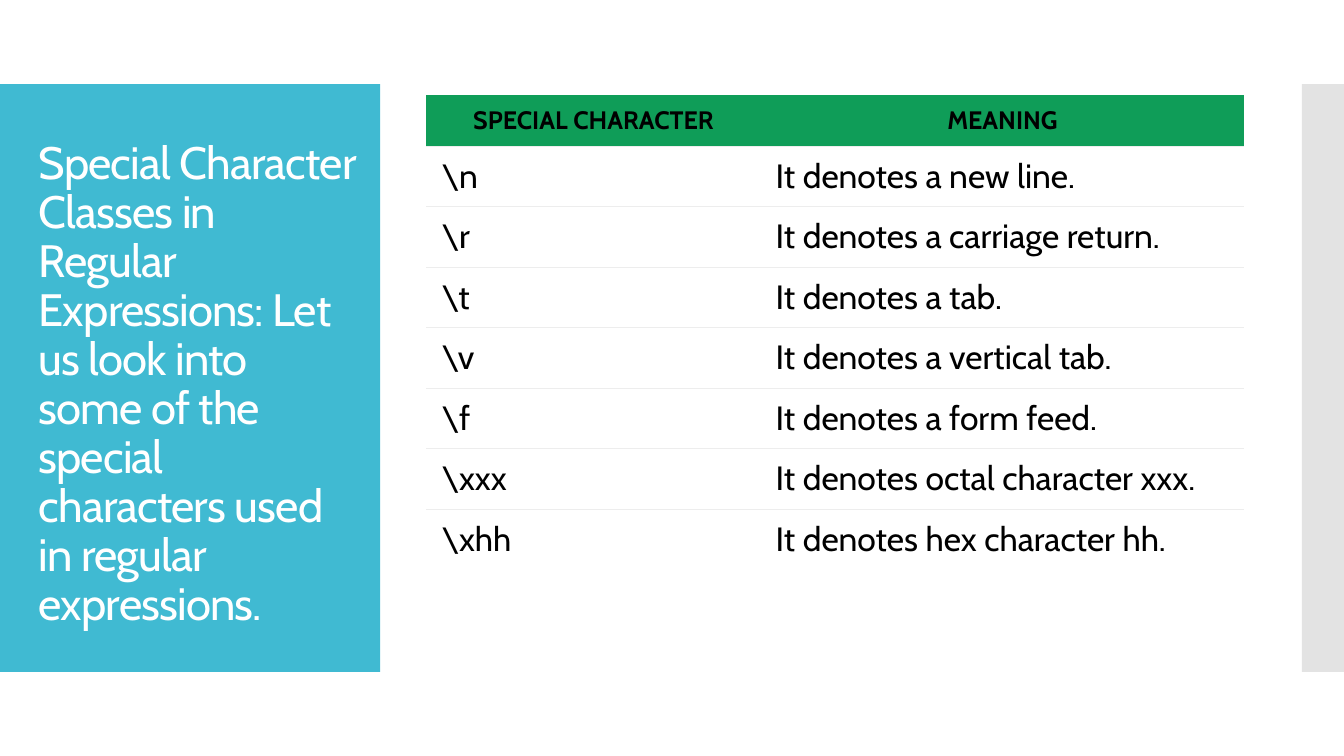
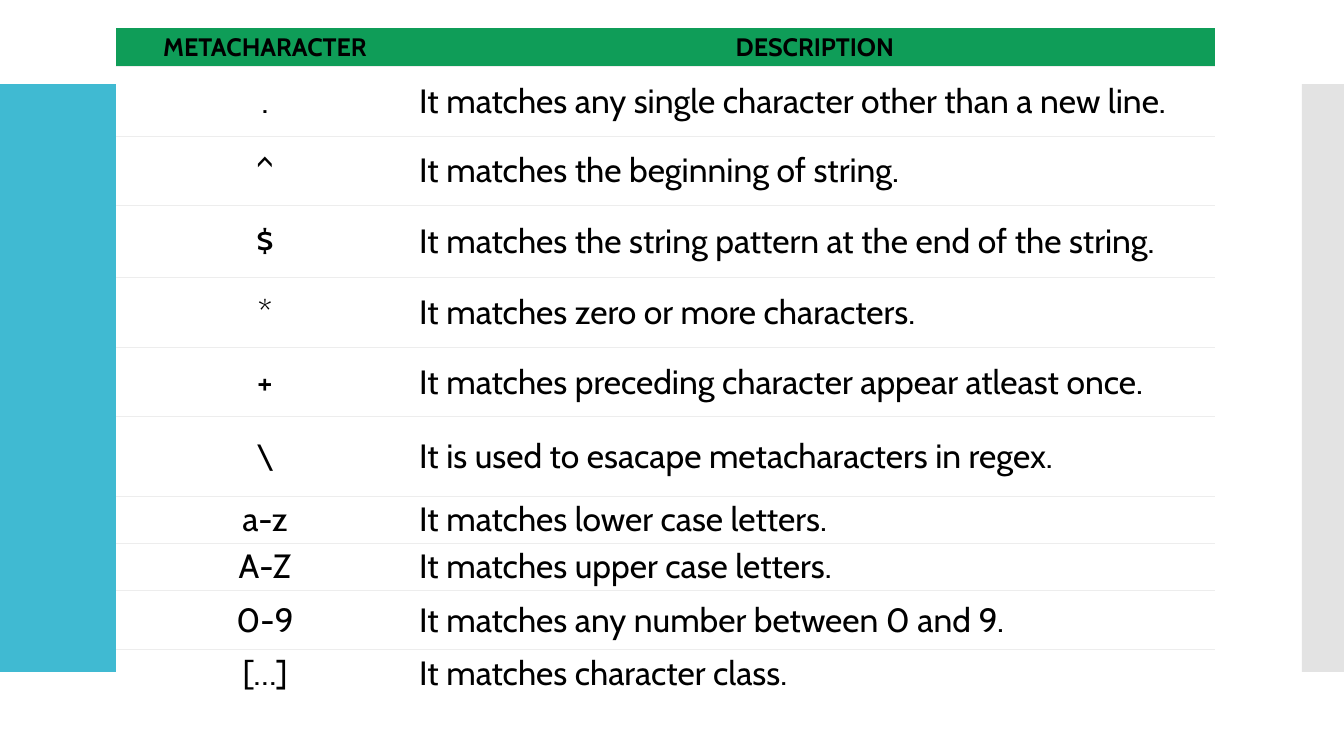
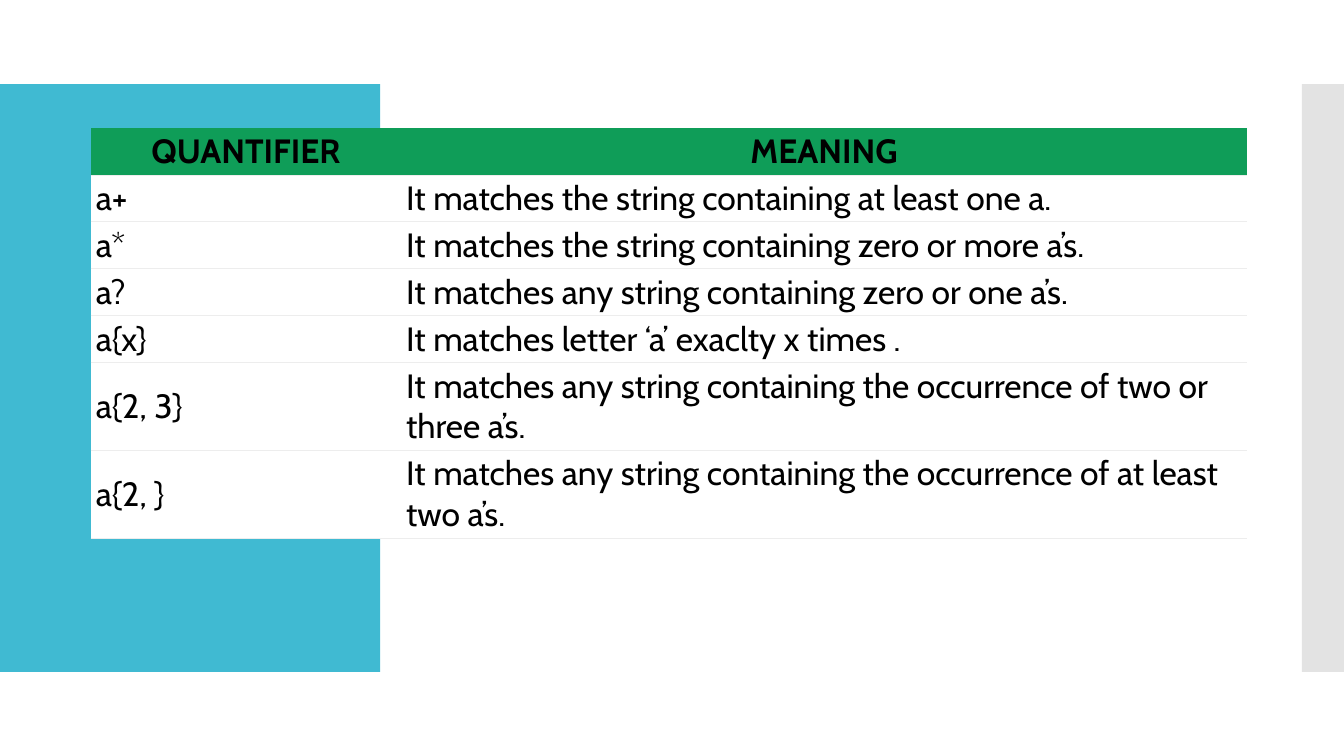
from dataclasses import dataclass

from lxml.etree import SubElement
from pptx import Presentation
from pptx.dml.color import RGBColor
from pptx.enum.shapes import MSO_SHAPE
from pptx.enum.text import MSO_ANCHOR, MSO_AUTO_SIZE, PP_ALIGN
from pptx.oxml.ns import qn
from pptx.presentation import Presentation as Deck
from pptx.slide import Slide
from pptx.table import _Cell as Cell
from pptx.util import Emu, Inches, Pt

# The slide is a grid of 160 by 90 square units.
COLUMNS, ROWS = 160, 90
UNIT = Inches(7.5) / ROWS
TITLE_ONLY, BLANK = 5, 6

FONT = "Cabin"
WHITE, BLACK = "FFFFFF", "000000"
TEAL, GRAY = "40BAD2", "C8C8C8"
GREEN, RULE = "0F9D58", "EDEDED"
RULE_WIDTH = Pt(0.75)
BODY_SIZE = 24


@dataclass(frozen=True)
class Band:
    left: float
    width: float
    color: str
    opacity: int = 100
    top: float = 10
    height: float = 70


@dataclass(frozen=True)
class Padding:
    horizontal: float
    vertical: float


@dataclass(frozen=True)
class TableSpec:
    left: float
    top: float
    widths: tuple[float, float]
    heights: tuple[float, ...]
    rows: tuple[tuple[str, str], ...]
    header_size: int = 18
    header_padding: Padding = Padding(0.36, 0.36)
    body_padding: Padding = Padding(0.6, 0.36)
    center_keys: bool = False
    closing_rule: bool = False


BANDS = (Band(0, 45.25, TEAL), Band(155, 5, GRAY, opacity=50))

TITLE = (
    "Special Character Classes in Regular Expressions: Let us look into "
    "some of the special characters used in regular expressions."
)

SPECIAL_CHARACTERS = TableSpec(
    left=50.75,
    top=11.3,
    widths=(39.8, 57.6),
    heights=(6.1,) + (7.2,) * 7,
    header_padding=Padding(1, 1),
    body_padding=Padding(1.8, 0.84),
    rows=(
        ("SPECIAL CHARACTER", "MEANING"),
        ("\\n", "It denotes a new line."),
        ("\\r", "It denotes a carriage return."),
        ("\\t", "It denotes a tab."),
        ("\\v", "It denotes a vertical tab."),
        ("\\f", "It denotes a form feed."),
        ("\\xxx", "It denotes octal character xxx."),
        ("\\xhh", "It denotes hex character hh."),
    ),
)

METACHARACTERS = TableSpec(
    left=13.8,
    top=3.35,
    widths=(35.5, 95.4),
    heights=(4.55, 8.3, 8.3, 8.55, 8.3, 8.3, 9.45, 5.6, 5.6, 7.1, 4.45),
    center_keys=True,
    rows=(
        ("METACHARACTER", "DESCRIPTION"),
        (".", "It matches any single character other than a new line."),
        ("^", "It matches the beginning of string."),
        ("$", "It matches the string pattern at the end of the string."),
        ("*", "It matches zero or more characters."),
        ("+", "It matches preceding character appear atleast once."),
        ("\\", "It is used to esacape metacharacters in regex."),
        ("a-z", "It matches lower case letters."),
        ("A-Z", "It matches upper case letters."),
        ("0-9", "It matches any number between 0 and 9."),
        ("[…]", "It matches character class."),
    ),
)

QUANTIFIERS = TableSpec(
    left=10.8,
    top=15.25,
    widths=(36.95, 100.7),
    heights=(4.8,) + (4.7,) * 4 + (5.2, 4.7),
    header_size=24,
    closing_rule=True,
    rows=(
        ("QUANTIFIER", "MEANING"),
        ("a+", "It matches the string containing at least one a."),
        ("a*", "It matches the string containing zero or more a’s."),
        ("a?", "It matches any string containing zero or one a’s."),
        ("a{x}", "It matches letter ‘a’ exaclty x times ."),
        ("a{2, 3}", "It matches any string containing the occurrence of two or three a’s."),
        ("a{2, }", "It matches any string containing the occurrence of at least two a’s."),
    ),
)


def grid(units: float) -> Emu:
    return Emu(round(units * UNIT))


def rgb(color: str) -> RGBColor:
    return RGBColor.from_string(color)


def add_run(paragraph, text: str, size: float, color: str, bold: bool = False):
    run = paragraph.add_run()
    run.text = text
    run.font.name = FONT
    run.font.size = Pt(size)
    run.font.bold = bold
    run.font.color.rgb = rgb(color)
    return run


def add_master_band(presentation: Deck, slide: Slide, band: Band) -> None:
    """Draw a band and move it to the master, behind its placeholders."""
    shape = slide.shapes.add_shape(
        MSO_SHAPE.RECTANGLE, grid(band.left), grid(band.top), grid(band.width), grid(band.height)
    )
    shape.shadow.inherit = False
    shape.line.fill.background()
    shape.fill.solid()
    shape.fill.fore_color.rgb = rgb(band.color)
    if band.opacity < 100:
        color = shape.element.spPr.find(qn("a:solidFill")).find(qn("a:srgbClr"))
        SubElement(color, qn("a:alpha"), val=str(band.opacity * 1000))
    presentation.slide_master.shapes.element.insert(2, shape.element)


def format_title(slide: Slide, text: str) -> None:
    title = slide.shapes.title
    title.left, title.top, title.width, title.height = map(grid, (3.4, 14.75, 40.2, 62.2))
    frame = title.text_frame
    frame.word_wrap = True
    frame.auto_size = MSO_AUTO_SIZE.NONE
    frame.vertical_anchor = MSO_ANCHOR.MIDDLE
    paragraph = frame.paragraphs[0]
    paragraph.alignment = PP_ALIGN.LEFT
    paragraph.line_spacing = 0.9
    run = add_run(paragraph, text, 32.4, WHITE)
    run.font._element.set("spc", "-60")


def set_rules(cell: Cell, top: bool, bottom: bool) -> None:
    """Rule the chosen edges; the others stay without a line."""
    properties = cell._tc.get_or_add_tcPr()
    edges = {"lnL": False, "lnR": False, "lnT": top, "lnB": bottom}
    for index, (edge, ruled) in enumerate(edges.items()):
        line = SubElement(properties, qn(f"a:{edge}"), w=str(int(RULE_WIDTH)))
        if ruled:
            fill = SubElement(line, qn("a:solidFill"))
            SubElement(fill, qn("a:srgbClr"), val=RULE)
        else:
            SubElement(line, qn("a:noFill"))
        properties.insert(index, line)


def format_cell(cell: Cell, text: str, header: bool, centered: bool, spec: TableSpec) -> None:
    padding = spec.header_padding if header else spec.body_padding
    cell.margin_left = cell.margin_right = grid(padding.horizontal)
    cell.margin_top = cell.margin_bottom = grid(padding.vertical)
    cell.vertical_anchor = MSO_ANCHOR.MIDDLE
    cell.fill.solid()
    cell.fill.fore_color.rgb = rgb(GREEN if header else WHITE)
    paragraph = cell.text_frame.paragraphs[0]
    paragraph.alignment = PP_ALIGN.CENTER if centered else PP_ALIGN.LEFT
    add_run(paragraph, text, spec.header_size if header else BODY_SIZE, BLACK, bold=header)


def add_table(slide: Slide, spec: TableSpec) -> None:
    table = slide.shapes.add_table(
        len(spec.rows),
        len(spec.widths),
        grid(spec.left),
        grid(spec.top),
        grid(sum(spec.widths)),
        grid(sum(spec.heights)),
    ).table
    table.horz_banding = False
    for column, width in zip(table.columns, spec.widths):
        column.width = grid(width)
    last = len(spec.rows) - 1
    for row_index, (height, texts) in enumerate(zip(spec.heights, spec.rows)):
        table.rows[row_index].height = grid(height)
        header = row_index == 0
        for column_index, text in enumerate(texts):
            cell = table.cell(row_index, column_index)
            centered = header or (spec.center_keys and column_index == 0)
            format_cell(cell, text, header, centered, spec)
            set_rules(cell, top=not header, bottom=row_index < last or spec.closing_rule)


def main() -> None:
    presentation = Presentation()
    presentation.slide_width = grid(COLUMNS)
    presentation.slide_height = grid(ROWS)
    layouts = presentation.slide_layouts

    title_slide = presentation.slides.add_slide(layouts[TITLE_ONLY])
    for band in BANDS:
        add_master_band(presentation, title_slide, band)
    format_title(title_slide, TITLE)
    add_table(title_slide, SPECIAL_CHARACTERS)

    for spec in (METACHARACTERS, QUANTIFIERS):
        add_table(presentation.slides.add_slide(layouts[BLANK]), spec)

    presentation.save("out.pptx")


if __name__ == "__main__":
    main()
